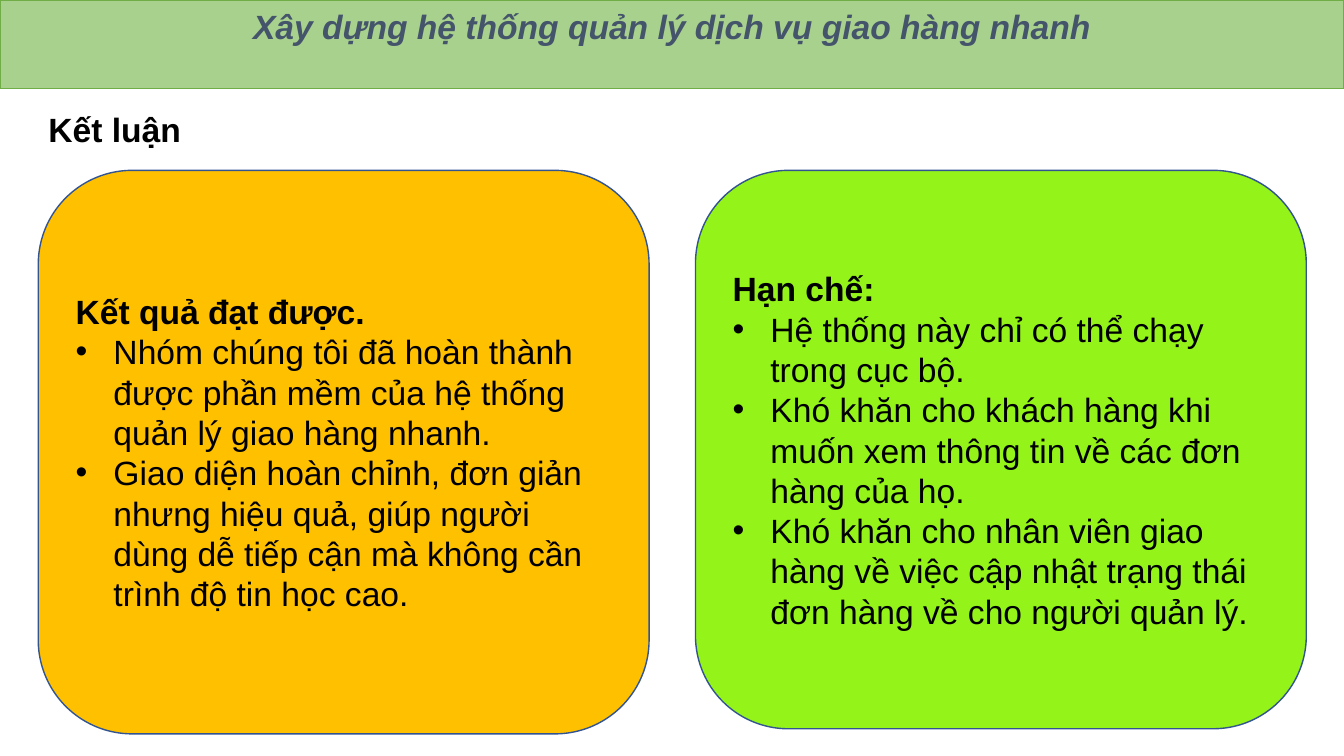
from dataclasses import dataclass

from lxml.etree import SubElement
from pptx import Presentation
from pptx.dml.color import RGBColor
from pptx.enum.shapes import MSO_SHAPE
from pptx.enum.text import MSO_ANCHOR, MSO_AUTO_SIZE, PP_ALIGN
from pptx.oxml.ns import qn
from pptx.util import Pt


@dataclass(frozen=True)
class Theme:
    font: str = "Arial"
    size: int = 24
    text: str = "000000"
    header_text: str = "44546A"
    header_fill: str = "A9D18E"
    header_line: str = "70AD47"
    results_fill: str = "FFC000"
    limits_fill: str = "94F319"
    card_line: str = "325491"


theme = Theme()
SLIDE_W, SLIDE_H = 960, 540
MARGIN, CARD_TOP, CARD_W, CARD_STEP = 27.36, 121.68, 436.32, 469.44
BULLET_INDENT = 27


def add_block(kind, left, top, width, height, fill, line):
    sp = s.shapes.add_shape(kind, Pt(left), Pt(top), Pt(width), Pt(height))
    sp.shadow.inherit = False
    sp.fill.solid()
    sp.fill.fore_color.rgb = RGBColor.from_string(fill)
    sp.line.color.rgb = RGBColor.from_string(line)
    sp.line.width = Pt(1)
    sp.text_frame.word_wrap = True
    return sp


def style_paragraph(p, align=PP_ALIGN.LEFT, color=theme.text, bold=True, italic=False):
    p.alignment = align
    for r in p.runs:
        r.font.name = theme.font
        r.font.size = Pt(theme.size)
        r.font.bold = bold
        r.font.italic = italic
        r.font.color.rgb = RGBColor.from_string(color)


prs = Presentation()
prs.slide_width, prs.slide_height = Pt(SLIDE_W), Pt(SLIDE_H)
s = prs.slides.add_slide(prs.slide_layouts[5])

# Header band
header = add_block(MSO_SHAPE.RECTANGLE, 0, 0, SLIDE_W, 63.36,
                   theme.header_fill, theme.header_line)
tf = header.text_frame
tf.vertical_anchor = MSO_ANCHOR.TOP
tf.margin_top = Pt(4.5)
tf.text = "Xây dựng hệ thống quản lý dịch vụ giao hàng nhanh"
style_paragraph(tf.paragraphs[0], PP_ALIGN.CENTER, theme.header_text, italic=True)

# Slide title
title = s.shapes.title
title.left, title.top, title.width, title.height = Pt(MARGIN), Pt(74.16), Pt(110.16), Pt(36)
tf = title.text_frame
tf.text = "Kết luận"
tf.word_wrap = False
tf.auto_size = MSO_AUTO_SIZE.NONE
tf.vertical_anchor = MSO_ANCHOR.TOP
style_paragraph(tf.paragraphs[0])

# Result and limitation cards
cards = [
    (theme.results_fill, 402.48, "Kết quả đạt được.", [
        "Nhóm chúng tôi đã hoàn thành được phần mềm của hệ thống quản lý giao hàng nhanh.",
        "Giao diện hoàn chỉnh, đơn giản nhưng hiệu quả, giúp người dùng dễ tiếp cận "
        "mà không cần trình độ tin học cao.",
    ]),
    (theme.limits_fill, 398.88, "Hạn chế:", [
        "Hệ thống này chỉ có thể chạy trong cục bộ.",
        "Khó khăn cho khách hàng khi muốn xem thông tin về các đơn hàng của họ.",
        "Khó khăn cho nhân viên giao hàng về việc cập nhật trạng thái đơn hàng "
        "về cho người quản lý.",
    ]),
]
for i, (fill, height, heading, points) in enumerate(cards):
    card = add_block(MSO_SHAPE.ROUNDED_RECTANGLE, MARGIN + i * CARD_STEP, CARD_TOP,
                     CARD_W, height, fill, theme.card_line)
    tf = card.text_frame
    tf.vertical_anchor = MSO_ANCHOR.MIDDLE
    tf.text = heading
    style_paragraph(tf.paragraphs[0])
    for point in points:
        p = tf.add_paragraph()
        p.text = point
        style_paragraph(p, bold=False)
        pPr = p._p.get_or_add_pPr()
        pPr.set("marL", str(Pt(BULLET_INDENT)))
        pPr.set("indent", str(-Pt(BULLET_INDENT)))
        SubElement(pPr, qn("a:buFont")).set("typeface", theme.font)
        SubElement(pPr, qn("a:buChar")).set("char", "•")

prs.save("out.pptx")
